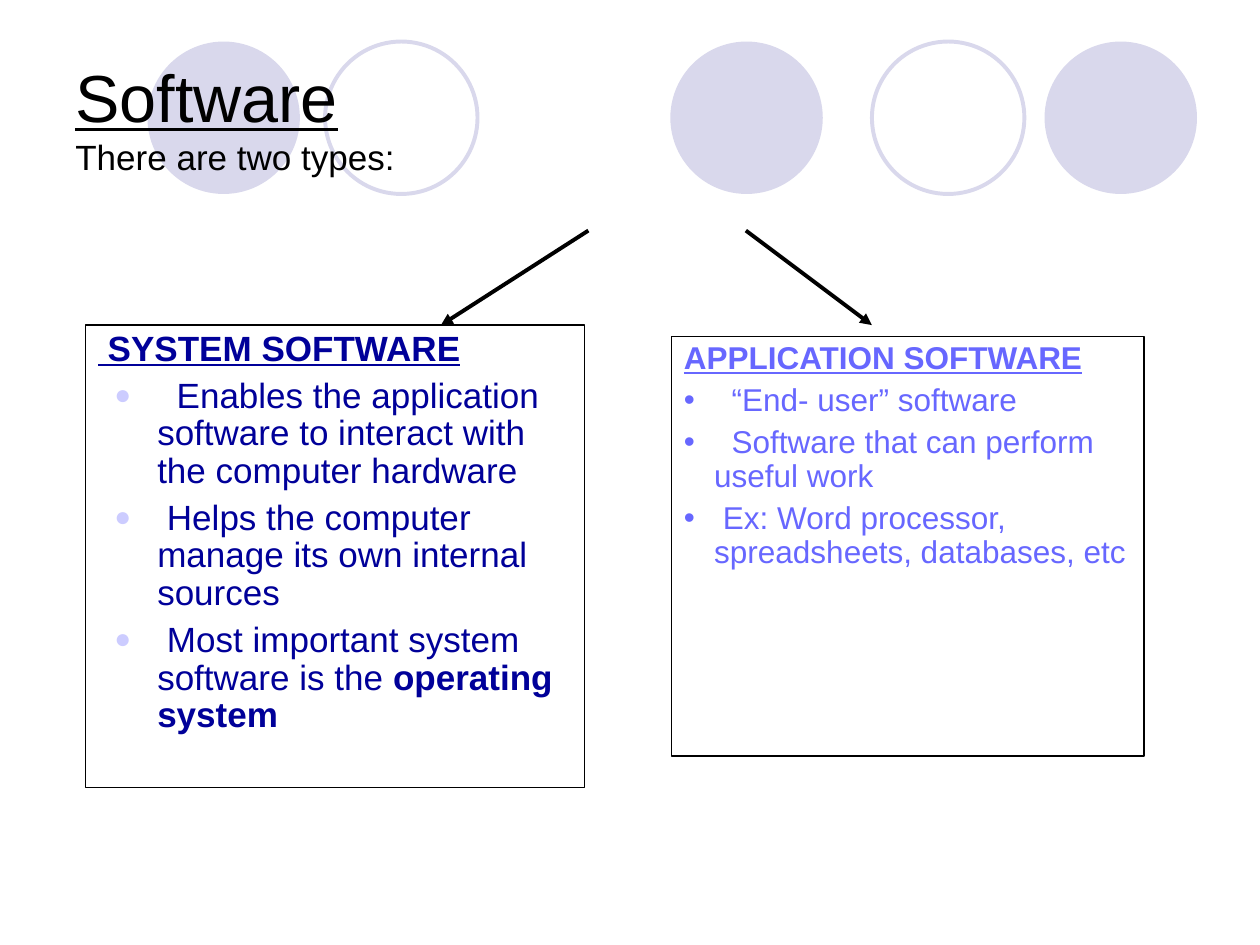
import pptx
import pptx.dml.color
import pptx.enum.shapes
import pptx.enum.text
import pptx.oxml
import pptx.oxml.ns
import pptx.util
from pptx.util import Inches

RGBColor = pptx.dml.color.RGBColor
BLACK = RGBColor(0x00, 0x00, 0x00)
LAVENDER = RGBColor(0xD9, 0xD8, 0xEC)
NAVY = RGBColor(0x00, 0x00, 0x99)
PERIWINKLE = RGBColor(0x67, 0x67, 0xFF)
PALE_BLUE = RGBColor(0xCC, 0xCC, 0xFF)

CIRCLE_SIZE = 1.21
CIRCLES = [(1.17, True), (2.58, False), (5.32, True), (6.92, False), (8.29, True)]
ARROWS = [((4.67, 1.83), (3.5, 2.58)), ((5.92, 1.83), (6.92, 2.58))]
HEADING = {"bold": True, "underline": True}
PLAIN = {"bold": False, "underline": False}
STRONG = {"bold": True, "underline": False}

SYSTEM = {
    "box": (0.68, 2.58, 3.96, 3.67),
    "size": 20, "color": NAVY, "space": 5,
    "bullet": {"character": "●", "color": PALE_BLUE, "scale": 80,
               "margin": 0.47, "hanging": 0.34},
    "heading": " SYSTEM SOFTWARE",
    "points": [
        [("  Enables the application software to interact with the computer hardware", PLAIN)],
        [(" Helps the computer manage its own internal sources", PLAIN)],
        [(" Most important system software is the ", PLAIN), ("operating system", STRONG)],
    ],
}
APPLICATION = {
    "box": (5.33, 2.67, 3.75, 3.33),
    "size": 18, "color": PERIWINKLE, "space": 4.5,
    "bullet": {"character": "•", "color": PERIWINKLE, "scale": 100,
               "margin": 0.24, "hanging": 0.24},
    "heading": "APPLICATION SOFTWARE",
    "points": [
        [("  “End- user” software", PLAIN)],
        [("  Software that can perform useful work", PLAIN)],
        [(" Ex: Word processor, spreadsheets, databases, etc", PLAIN)],
    ],
}


def set_values(target, values):
    """Set each attribute named in a dict of format values."""
    for name, value in values.items():
        setattr(target, name, value)


def add_run(paragraph, text, size, color, values):
    """Add a run of Arial text."""
    run = paragraph.add_run()
    run.text = text
    set_values(run.font, {"name": "Arial", "size": pptx.util.Pt(size), **values})
    run.font.color.rgb = color


def prepare_frame(shape, anchor):
    """Give a text frame its wrapping, anchor and insets."""
    set_values(shape.text_frame, {
        "word_wrap": True, "vertical_anchor": anchor,
        "margin_left": Inches(0.1), "margin_right": Inches(0.1),
        "margin_top": Inches(0.05), "margin_bottom": Inches(0.05),
    })
    return shape.text_frame


def add_bullet(paragraph, character, color, scale, margin, hanging):
    """Give a paragraph a coloured bullet with a hanging indent."""
    properties = paragraph._p.get_or_add_pPr()
    properties.set("marL", str(Inches(margin)))
    properties.set("indent", str(-Inches(hanging)))
    namespace = pptx.oxml.ns.nsdecls("a")
    for markup in (
        f'<a:buClr {namespace}><a:srgbClr val="{color}"/></a:buClr>',
        f'<a:buSzPct {namespace} val="{scale * 1000}"/>',
        f'<a:buFont {namespace} typeface="Arial"/>',
        f'<a:buChar {namespace} char="{character}"/>',
    ):
        properties.append(pptx.oxml.parse_xml(markup))


def add_circles(slide, top):
    """Draw the row of filled and outlined circles."""
    for left, filled in CIRCLES:
        circle = slide.shapes.add_shape(
            pptx.enum.shapes.MSO_SHAPE.OVAL, Inches(left), Inches(top),
            Inches(CIRCLE_SIZE), Inches(CIRCLE_SIZE))
        circle.shadow.inherit = False
        if filled:
            circle.fill.solid()
            circle.fill.fore_color.rgb = LAVENDER
            circle.line.fill.background()
        else:
            circle.fill.background()
            circle.line.color.rgb = LAVENDER
            circle.line.width = pptx.util.Pt(2.25)


def add_title(slide, box):
    """Write the underlined title and the line below it."""
    title = slide.shapes.add_textbox(*map(Inches, box))
    frame = prepare_frame(title, pptx.enum.text.MSO_ANCHOR.MIDDLE)
    paragraph = frame.paragraphs[0]
    add_run(paragraph, "Software", 38, BLACK, {"underline": True})
    paragraph.add_line_break()
    add_run(paragraph, "There are two types:", 20, BLACK, {"underline": False})


def add_panel(slide, panel):
    """Draw a framed panel with a heading and bullet points."""
    shape = slide.shapes.add_shape(
        pptx.enum.shapes.MSO_SHAPE.RECTANGLE, *map(Inches, panel["box"]))
    shape.shadow.inherit = False
    shape.fill.background()
    shape.line.color.rgb = BLACK
    shape.line.width = pptx.util.Pt(0.75)
    frame = prepare_frame(shape, pptx.enum.text.MSO_ANCHOR.TOP)
    for index, runs in enumerate([[(panel["heading"], HEADING)], *panel["points"]]):
        paragraph = frame.add_paragraph() if index else frame.paragraphs[0]
        set_values(paragraph, {
            "alignment": pptx.enum.text.PP_ALIGN.LEFT, "line_spacing": 0.9,
            "space_before": pptx.util.Pt(panel["space"]),
        })
        if index:
            add_bullet(paragraph, **panel["bullet"])
        for text, values in runs:
            add_run(paragraph, text, panel["size"], panel["color"], values)


def add_arrow(slide, start, end):
    """Draw a black line with a triangle at its end."""
    arrow = slide.shapes.add_connector(
        pptx.enum.shapes.MSO_CONNECTOR.STRAIGHT, *map(Inches, start + end))
    arrow.line.color.rgb = BLACK
    arrow.line.width = pptx.util.Pt(2.25)
    namespace = pptx.oxml.ns.nsdecls("a")
    arrow.line._get_or_add_ln().append(
        pptx.oxml.parse_xml(f'<a:tailEnd {namespace} type="triangle"/>'))
    arrow._element.spPr.append(pptx.oxml.parse_xml(f"<a:effectLst {namespace}/>"))


def main():
    """Build and save the presentation."""
    presentation = pptx.Presentation()
    presentation.slide_width = Inches(10)
    presentation.slide_height = Inches(7.5)
    slide = presentation.slides.add_slide(presentation.slide_layouts[6])
    add_circles(slide, 0.33)
    add_title(slide, (0.5, 0.3, 9, 1.25))
    for panel in (SYSTEM, APPLICATION):
        add_panel(slide, panel)
    for start, end in ARROWS:
        add_arrow(slide, start, end)
    presentation.save("out.pptx")


if __name__ == "__main__":
    main()
